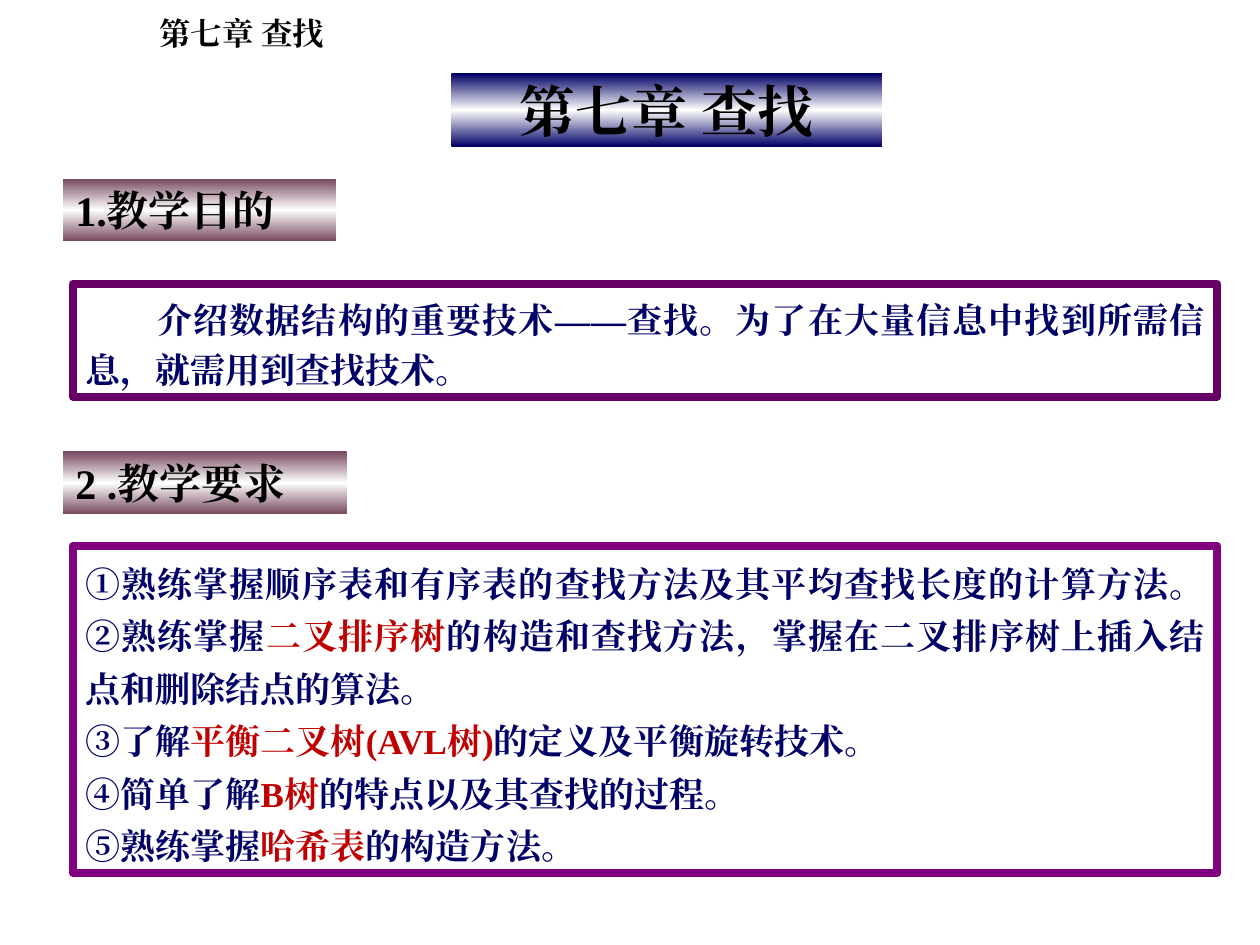
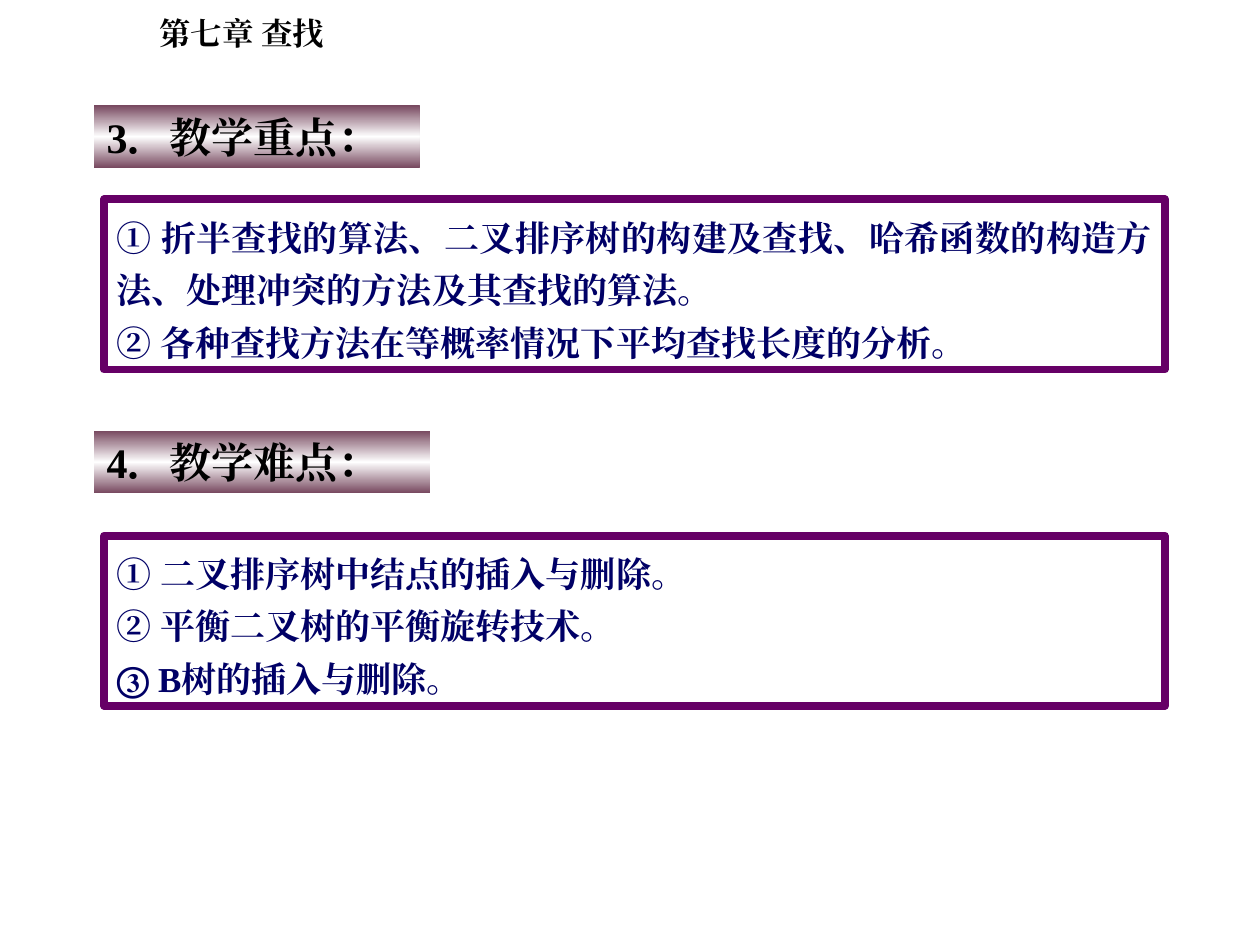
from copy import deepcopy
from dataclasses import dataclass

from lxml.etree import SubElement
from pptx import Presentation
from pptx.dml.color import RGBColor
from pptx.enum.lang import MSO_LANGUAGE_ID as Language
from pptx.enum.shapes import MSO_SHAPE as Shape
from pptx.enum.text import MSO_ANCHOR as Anchor, MSO_AUTO_SIZE as AutoSize, PP_ALIGN as Align
from pptx.oxml.ns import qn
from pptx.util import Cm, Pt

BLACK = RGBColor(0x00, 0x00, 0x00)
WHITE = RGBColor(0xFF, 0xFF, 0xFF)
NAVY = RGBColor(0x00, 0x00, 0x66)
RED = RGBColor(0xC0, 0x00, 0x00)
MAUVE = RGBColor(0x76, 0x47, 0x5E)
PLUM = RGBColor(0x66, 0x00, 0x66)
PURPLE = RGBColor(0x80, 0x00, 0x80)

FONT = "Times New Roman"
CHAPTER = "第七章 查找"
LABEL_HEIGHT = 1.27
FRAME_OFFSET = 0.2
MARK = "|"


@dataclass(frozen=True)
class Area:
    left: float
    top: float
    width: float
    height: float

    def lengths(self) -> list[Cm]:
        return [Cm(value) for value in (self.left, self.top, self.width, self.height)]


@dataclass(frozen=True)
class TextStyle:
    size: int
    color: RGBColor = BLACK
    align: Align = Align.LEFT
    spacing: float = 1.0
    indent: float = 0.0


@dataclass(frozen=True)
class Section:
    heading: str
    left: float
    top: float
    label_width: float
    frame_top: float
    frame_width: float
    frame_height: float
    lines: tuple[str, ...]
    border: RGBColor = PLUM
    align: Align = Align.JUSTIFY
    spacing: float = 1.25
    indent: float = 0.0


HEADER_AREA = Area(2.96, 0.15, 4.17, 1.78)
TITLE_AREA = Area(9.1, 1.48, 8.68, 1.48)
HEADER_STYLE = TextStyle(18)
LABEL_STYLE = TextStyle(24)
TITLE_STYLE = TextStyle(32, align=Align.CENTER)

OVERVIEW = (
    Section(
        "1.教学目的", 1.27, 3.6, 5.5, 5.72, 23.07, 2.28,
        ("介绍数据结构的重要技术——查找。为了在大量信息中找到所需信息，就需用到查找技术。",),
        spacing=1.2, indent=1.45,
    ),
    Section(
        "2 .教学要求", 1.27, 9.1, 5.72, 11.0, 23.07, 6.6,
        (
            "①熟练掌握顺序表和有序表的查找方法及其平均查找长度的计算方法。 "
            "②熟练掌握|二叉排序树|的构造和查找方法，掌握在二叉排序树上插入结点和删除结点的算法。",
            "③了解|平衡二叉树(AVL树)|的定义及平衡旋转技术。",
            "④简单了解|B树|的特点以及其查找的过程。",
            "⑤熟练掌握|哈希表|的构造方法。",
        ),
        border=PURPLE,
    ),
)
FOCUS = (
    Section(
        "3．教学重点：", 1.9, 2.12, 6.56, 4.02, 21.38, 3.43,
        (
            "① 折半查找的算法、二叉排序树的构建及查找、哈希函数的构造方法、处理冲突的方法及其查找的算法。",
            "② 各种查找方法在等概率情况下平均查找长度的分析。",
        ),
    ),
    Section(
        "4．教学难点：", 1.9, 8.68, 6.77, 10.8, 21.38, 3.43,
        (
            "① 二叉排序树中结点的插入与删除。",
            "② 平衡二叉树的平衡旋转技术。",
            "③ B树的插入与删除。",
        ),
        align=Align.LEFT,
    ),
)


def set_all(target, values: dict) -> None:
    for name, value in values.items():
        setattr(target, name, value)


def write(box, lines: tuple[str, ...], style: TextStyle) -> None:
    for index, line in enumerate(lines):
        para = box.text_frame.paragraphs[0] if index == 0 else box.text_frame.add_paragraph()
        set_all(para, {"alignment": style.align, "line_spacing": style.spacing})
        if style.indent:
            para._p.get_or_add_pPr().set("indent", str(Cm(style.indent)))
        for position, text in enumerate(line.split(MARK)):
            span = para.add_run()
            span.text = text
            set_all(span.font, {
                "name": FONT, "size": Pt(style.size), "bold": True,
                "language_id": Language.SIMPLIFIED_CHINESE,
            })
            span.font.color.rgb = RED if position % 2 else style.color
            SubElement(span.font._element, qn("a:ea"), typeface=FONT)


def add_box(page, area: Area, lines: tuple[str, ...], style: TextStyle,
            anchor: Anchor = Anchor.TOP, fit: AutoSize = AutoSize.NONE):
    box = page.shapes.add_shape(Shape.RECTANGLE, *area.lengths())
    box.shadow.inherit = False
    box.fill.background()
    box.line.fill.background()
    set_all(box.text_frame, {"word_wrap": True, "vertical_anchor": anchor, "auto_size": fit})
    write(box, lines, style)
    return box


def fill_band(box, edge: RGBColor) -> None:
    box.fill.gradient()
    box.fill.gradient_angle = 90
    stop_list = box._element.spPr.find(".//" + qn("a:gsLst"))
    stop_list.insert(1, deepcopy(stop_list[0]))
    for stop, position, color in zip(box.fill.gradient_stops, (0, 0.5, 1), (edge, WHITE, edge)):
        stop.position = position
        stop.color.rgb = color


def add_section(page, section: Section) -> None:
    label_area = Area(section.left, section.top, section.label_width, LABEL_HEIGHT)
    label = add_box(page, label_area, (section.heading,), LABEL_STYLE,
                    fit=AutoSize.SHAPE_TO_FIT_TEXT)
    fill_band(label, MAUVE)
    frame_area = Area(section.left + FRAME_OFFSET, section.frame_top,
                      section.frame_width, section.frame_height)
    style = TextStyle(20, NAVY, section.align, section.spacing, section.indent)
    frame = add_box(page, frame_area, section.lines, style, fit=AutoSize.SHAPE_TO_FIT_TEXT)
    frame.line.color.rgb = section.border
    frame.line.width = Pt(4.5)


def add_page(deck, sections: tuple[Section, ...]):
    page = deck.slides.add_slide(deck.slide_layouts[6])
    add_box(page, HEADER_AREA, (CHAPTER,), HEADER_STYLE)
    for section in sections:
        add_section(page, section)
    return page


def main() -> None:
    deck = Presentation()
    set_all(deck, {"slide_width": Cm(25.4), "slide_height": Cm(19.05)})
    opening = add_page(deck, OVERVIEW)
    title = add_box(opening, TITLE_AREA, (CHAPTER,), TITLE_STYLE, Anchor.MIDDLE)
    fill_band(title, NAVY)
    add_page(deck, FOCUS)
    deck.save("out.pptx")


if __name__ == "__main__":
    main()
